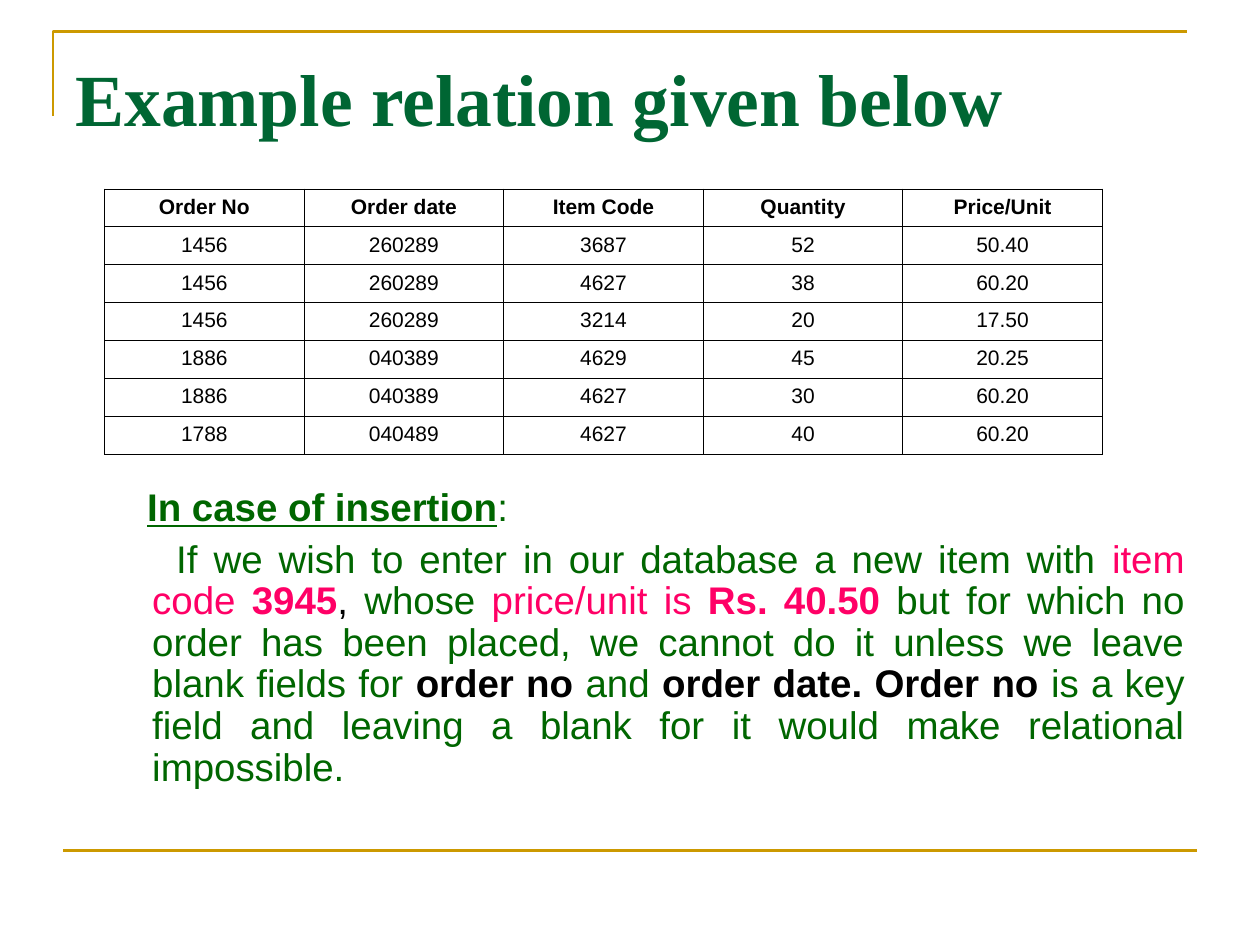
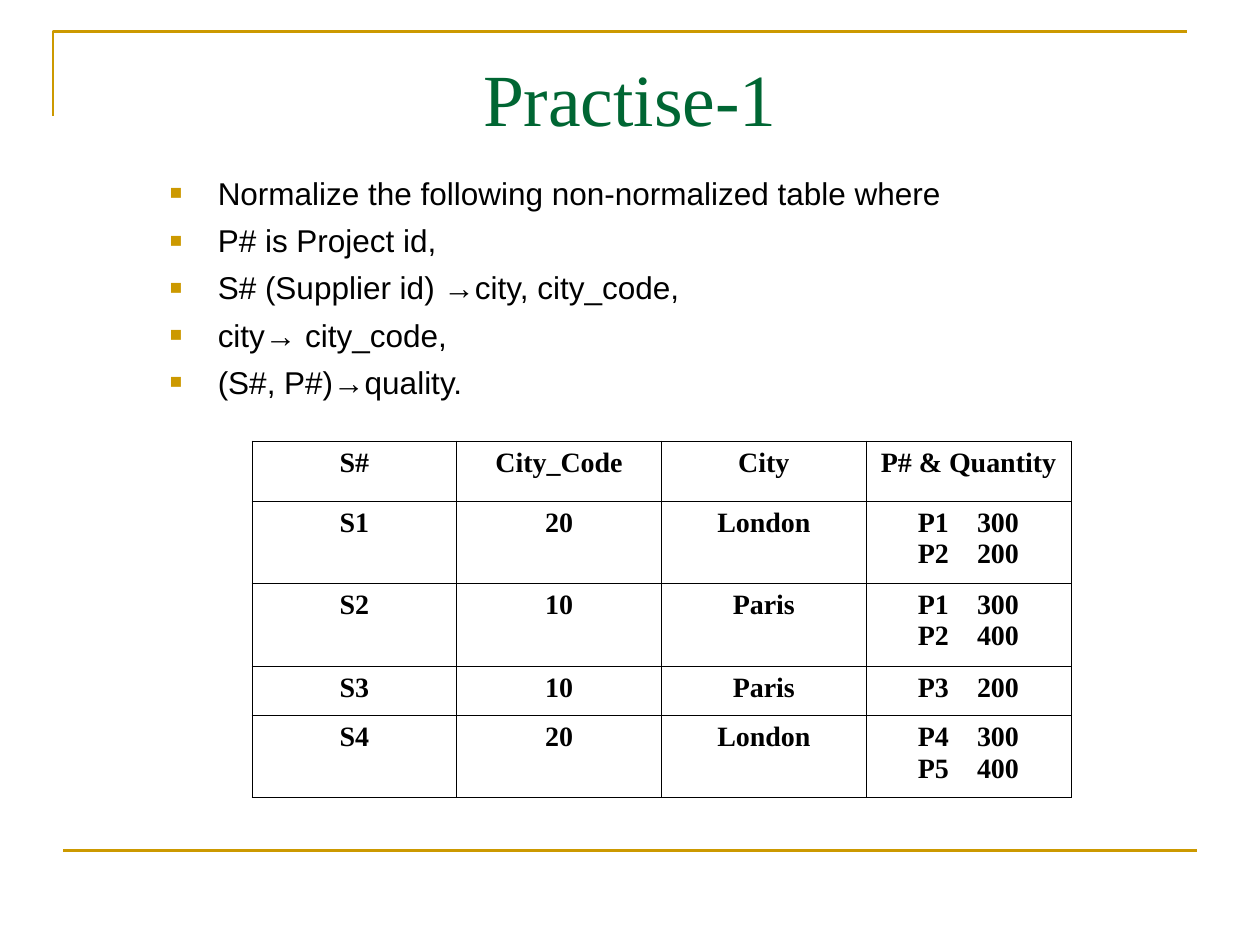
from dataclasses import dataclass
from lxml.etree import SubElement
from pptx import Presentation
from pptx.dml.color import RGBColor
from pptx.enum.shapes import MSO_CONNECTOR
from pptx.enum.text import PP_ALIGN
from pptx.oxml.ns import qn
from pptx.util import Inches, Pt


@dataclass(frozen=True)
class Theme:
    gold: str = "CC9900"
    title: str = "006633"
    green: str = "006600"
    pink: str = "FF0066"
    black: str = "000000"
    serif: str = "Times New Roman"
    sans: str = "Arial"
    head: float = 42
    prose: float = 22
    list: float = 18
    code: float = 16
    grid: float = 12
    rule: float = 1.5
    edge: float = 0.45


THEME = Theme()

ORDERS = [
    ["Order No", "Order date", "Item Code", "Quantity", "Price/Unit"],
    ["1456", "260289", "3687", "52", "50.40"],
    ["1456", "260289", "4627", "38", "60.20"],
    ["1456", "260289", "3214", "20", "17.50"],
    ["1886", "040389", "4629", "45", "20.25"],
    ["1886", "040389", "4627", "30", "60.20"],
    ["1788", "040489", "4627", "40", "60.20"],
]
PARTS = [
    ["S#", "City_Code", "City", "P# & Quantity"],
    ["S1", "20", "London", "P1\t300\nP2\t200"],
    ["S2", "10", "Paris", "P1\t300\nP2\t400"],
    ["S3", "10", "Paris", "P3\t200"],
    ["S4", "20", "London", "P4\t300\nP5\t400"],
]
# Runs of text: words, colour, bold, underline
CASE = [
    ("In case of insertion", THEME.green, True, True),
    (":", THEME.green, False, False),
]
STORY = [
    ("If we wish to enter in our database a new item with ", THEME.green, False, False),
    ("item code ", THEME.pink, False, False),
    ("3945", THEME.pink, True, False),
    (", ", THEME.black, False, False),
    ("whose ", THEME.green, False, False),
    ("price/unit is ", THEME.pink, False, False),
    ("Rs. 40.50 ", THEME.pink, True, False),
    ("but for which no order has been placed, we cannot do it unless we leave "
     "blank fields for ", THEME.green, False, False),
    ("order no ", THEME.black, True, False),
    ("and ", THEME.green, False, False),
    ("order date. Order no ", THEME.black, True, False),
    ("is a key field and leaving a blank for it would make relational impossible.",
     THEME.green, False, False),
]
TASKS = [
    "Normalize the following non-normalized table where",
    "P# is Project id,",
    "S# (Supplier id) →city, city_code,",
    "city→ city_code,",
    "(S#, P#)→quality.",
]


def style(font, face, size, color, bold=False, under=False):
    font.name, font.size = face, Pt(size)
    font.color.rgb = RGBColor.from_string(color)
    font.bold, font.underline = bold, under


def indent(para, left, first):
    props = para._p.get_or_add_pPr()
    props.set("marL", str(Inches(left)))
    props.set("indent", str(Inches(first)))
    return props


def add_text(slide, box):
    frame = slide.shapes.add_textbox(*map(Inches, box)).text_frame
    frame.word_wrap = True
    return frame


# Gold corner and bottom rule, shared by all slides
def add_frame(slide):
    x, y, right, drop = 0.42, 0.25, 9.42, 0.92
    build = slide.shapes.build_freeform(Inches(x), Inches(drop))
    build.add_line_segments(
        [(Inches(x), Inches(y)), (Inches(right), Inches(y))], close=False)
    corner = build.convert_to_shape()
    corner.fill.background()
    corner.shadow.inherit = False
    base = slide.shapes.add_connector(
        MSO_CONNECTOR.STRAIGHT, *map(Inches, (0.5, 6.75, 9.5, 6.75)))
    SubElement(base._element.spPr, qn("a:effectLst"))
    for part in (corner, base):
        part.line.color.rgb = RGBColor.from_string(THEME.gold)
        part.line.width = Pt(THEME.rule)


def add_title(slide, text, align, bold):
    frame = add_text(slide, (0.5, 0.3, 9, 1.25))
    frame.margin_top = Inches(0.12)
    frame.text = text
    para = frame.paragraphs[0]
    para.alignment = align
    style(para.runs[0].font, THEME.serif, THEME.head, THEME.title, bold)


def start(deck, title, align=PP_ALIGN.LEFT, bold=False):
    slide = deck.slides.add_slide(deck.slide_layouts[6])
    add_frame(slide)
    add_title(slide, title, align, bold)
    return slide


def add_edges(cell):
    props = cell._tc.get_or_add_tcPr()
    for place, side in enumerate(("lnL", "lnR", "lnT", "lnB")):
        line = props.makeelement(qn(f"a:{side}"), {"w": str(Pt(THEME.edge))})
        fill = SubElement(line, qn("a:solidFill"))
        SubElement(fill, qn("a:srgbClr"), val=THEME.black)
        props.insert(place, line)


# Pairs line up on a tab stop inside their cell
def set_pair(cell, para):
    cell.margin_left = Inches(0.41)
    para.alignment = PP_ALIGN.LEFT
    tabs = SubElement(para._p.get_or_add_pPr(), qn("a:tabLst"))
    SubElement(tabs, qn("a:tab"), pos=str(Inches(0.47)), algn="l")


def add_grid(slide, box, rows, heights, face, size, bold):
    count = len(rows[0])
    table = slide.shapes.add_table(len(rows), count, *map(Inches, box)).table
    table.first_row = table.horz_banding = False
    for col in table.columns:
        col.width = Inches(box[2] / count)
    for r, (row, height) in enumerate(zip(rows, heights)):
        table.rows[r].height = Inches(height)
        for c, text in enumerate(row):
            cell = table.cell(r, c)
            cell.text_frame.text = text
            cell.fill.background()
            add_edges(cell)
            for para in cell.text_frame.paragraphs:
                para.alignment = PP_ALIGN.CENTER
                if "\t" in text:
                    set_pair(cell, para)
                for run in para.runs:
                    style(run.font, face, size, THEME.black, bold or r == 0)


def add_prose(slide, box):
    frame = add_text(slide, box)
    first, second = frame.paragraphs[0], frame.add_paragraph()
    indent(first, 0.4, 0)
    indent(second, 0.44, 0.19)
    second.space_before = Pt(5.5)
    for para, runs in ((first, CASE), (second, STORY)):
        para.alignment = PP_ALIGN.JUSTIFY
        para.line_spacing = 0.9
        for text, *look in runs:
            run = para.add_run()
            run.text = text
            style(run.font, THEME.sans, THEME.prose, *look)


def add_list(slide, box, items):
    frame = add_text(slide, box)
    frame.text = "\n".join(items)
    for i, para in enumerate(frame.paragraphs):
        if i:
            para.space_before = Pt(5.4)
        props = indent(para, 0.38, -0.38)
        color = SubElement(props, qn("a:buClr"))
        SubElement(color, qn("a:srgbClr"), val=THEME.gold)
        SubElement(props, qn("a:buSzPct"), val="65000")
        SubElement(props, qn("a:buFont"), typeface=THEME.sans)
        SubElement(props, qn("a:buChar"), char="■")
        style(para.runs[0].font, THEME.sans, THEME.list, THEME.black)


def add_example(deck):
    slide = start(deck, "Example relation given below", bold=True)
    add_grid(slide, (0.83, 1.5, 7.92, 2.1), ORDERS, [0.3] * len(ORDERS),
             THEME.sans, THEME.grid, False)
    add_prose(slide, (0.67, 3.83, 8.83, 2.87))


def add_practice(deck):
    slide = start(deck, "Practise-1", PP_ALIGN.CENTER)
    add_list(slide, (1.25, 1.33, 7.92, 2.25), TASKS)
    add_grid(slide, (2, 3.5, 6.5, 2.83), PARTS, [0.48, 0.65, 0.66, 0.39, 0.65],
             THEME.serif, THEME.code, True)


def main():
    deck = Presentation()
    deck.slide_width, deck.slide_height = Inches(10), Inches(7.5)
    add_example(deck)
    add_practice(deck)
    deck.save("out.pptx")


if __name__ == "__main__":
    main()
